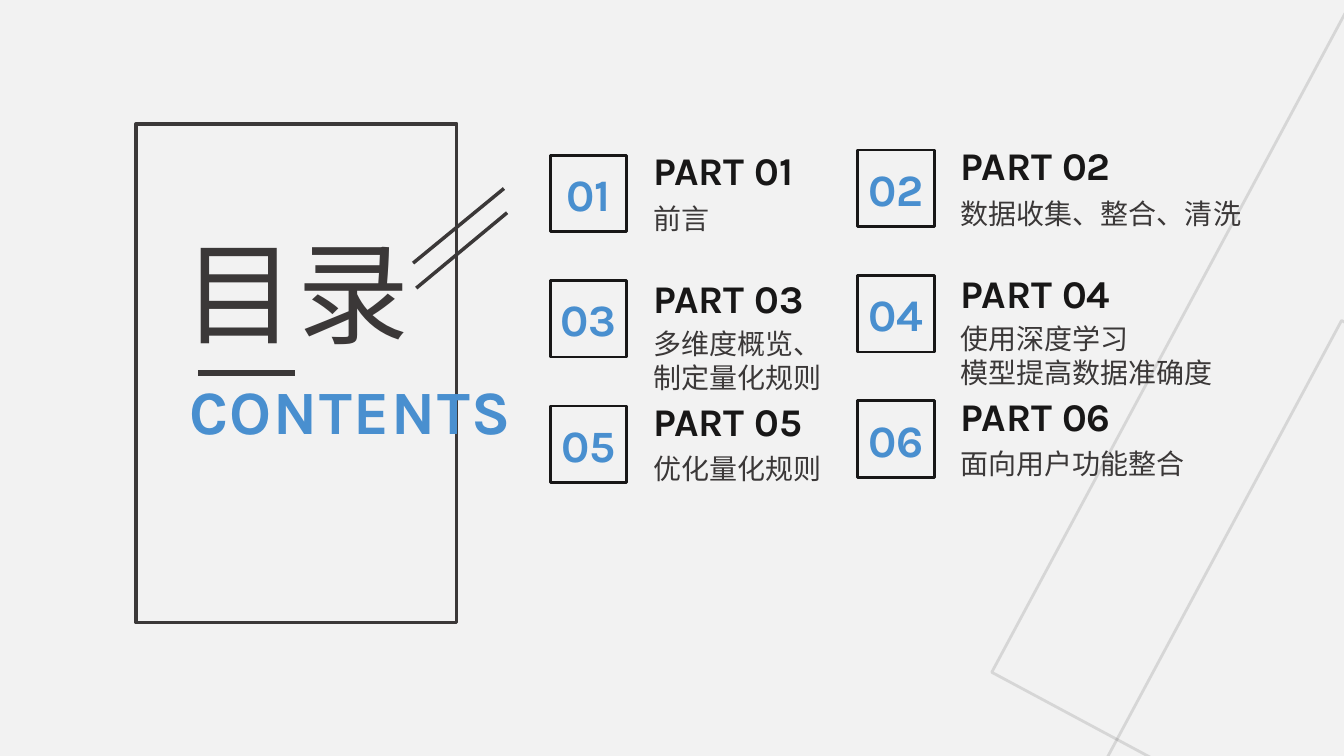
"""Build the contents slide: a framed heading beside six numbered parts."""
from pptx import Presentation
from pptx.util import Cm, Pt
from pptx.dml.color import RGBColor
from pptx.enum.shapes import MSO_CONNECTOR, MSO_SHAPE
from pptx.enum.text import MSO_ANCHOR, PP_ALIGN
from pptx.oxml.ns import qn
from lxml.etree import SubElement

PALE = RGBColor(0xF2, 0xF2, 0xF2)
GREY = RGBColor(0x3B, 0x38, 0x38)
BLACK = RGBColor(0x18, 0x17, 0x17)
BLUE = RGBColor(0x49, 0x8F, 0xCF)
LATIN, HAN = "Karla", "Noto Sans CJK SC"

PARTS = [
    ["前言"],
    ["数据收集、整合、清洗"],
    ["多维度概览、", "制定量化规则"],
    ["使用深度学习", "模型提高数据准确度"],
    ["优化量化规则"],
    ["面向用户功能整合"],
]
TILTED = [(28.37, 3.5), (28.17, 11.45)]
STROKES = [
    (5, 9.4, 7.44, 9.4, 4),
    (12.7, 4.75, 10.41, 6.63, 2.5),
    (12.78, 5.36, 10.49, 7.26, 2.5),
]
LEFT, COL_STEP, COL_RISE = 13.87, 7.75, 0.13
BOX_TOP, ROW_STEP, BOX = 3.91, 3.16, 1.93
HEAD_TOPS = [3.56, 6.78, 9.88]
NOTE_TOP, NOTE_STEP = 4.95, 3.14
TEXT_GAP, LINE = 2.34, 0.86


def frame(slide, x, y, wide, high, color, weight):
    shape = slide.shapes.add_shape(MSO_SHAPE.RECTANGLE, Cm(x), Cm(y), Cm(wide), Cm(high))
    shape.shadow.inherit = False
    shape.fill.background()
    shape.line.color.rgb = color
    shape.line.width = Pt(weight)
    return shape


def tilt(slide, x, y):
    shape = frame(slide, x, y, 19.08, 19.08, GREY, 2)
    shape.rotation = 298.2
    tint = shape.line.fill._xPr.find(".//" + qn("a:srgbClr"))
    SubElement(tint, qn("a:alpha"), val="15000")


def stroke(slide, x1, y1, x2, y2, weight):
    line = slide.shapes.add_connector(MSO_CONNECTOR.STRAIGHT, Cm(x1), Cm(y1), Cm(x2), Cm(y2))
    line.line.color.rgb = GREY
    line.line.width = Pt(weight)
    SubElement(line._element.spPr, qn("a:effectLst"))


def write(para, words, size, face, color, bold=False, gap=0):
    run = para.add_run()
    run.text = words
    font = run.font
    font.size, font.name, font.bold = Pt(size), face, bold
    font.color.rgb = color
    props = run._r.get_or_add_rPr()
    SubElement(props, qn("a:ea"), typeface=face)
    if gap:
        props.set("spc", str(gap))


def text(slide, x, y, wide, high, lines, size, face, color, bold=False, gap=0, pitch=None):
    body = slide.shapes.add_textbox(Cm(x), Cm(y), Cm(wide), Cm(high)).text_frame
    body.word_wrap = True
    for i, words in enumerate(lines):
        para = body.add_paragraph() if i else body.paragraphs[0]
        if pitch:
            para.line_spacing = Pt(pitch)
        write(para, words, size, face, color, bold, gap)


def part(slide, i, lines):
    row, col = divmod(i, 2)
    x, rise = LEFT + col * COL_STEP, col * COL_RISE
    box = frame(slide, x, BOX_TOP + row * ROW_STEP - rise, BOX, BOX, BLACK, 2)
    body = box.text_frame
    body.margin_left = body.margin_right = 0
    body.vertical_anchor = MSO_ANCHOR.MIDDLE
    para = body.paragraphs[0]
    para.alignment = PP_ALIGN.CENTER
    write(para, f"{i + 1:02}", 32, LATIN, BLUE, True)
    x += TEXT_GAP
    text(slide, x, HEAD_TOPS[row] - rise, 5.72, 1.45, [f"PART {i + 1:02}"], 28, LATIN, BLACK, True)
    high = 0.25 + LINE * len(lines)
    text(slide, x, NOTE_TOP + row * NOTE_STEP - rise, 8.66, high, lines, 20, HAN, GREY, pitch=24.4)


def main():
    deck = Presentation()
    deck.slide_width, deck.slide_height = Cm(33.87), Cm(19.05)
    slide = deck.slides.add_slide(deck.slide_layouts[6])
    slide.background.fill.solid()
    slide.background.fill.fore_color.rgb = PALE
    for spot in TILTED:
        tilt(slide, *spot)
    frame(slide, 3.43, 3.12, 8.08, 12.57, GREY, 2.5)
    text(slide, 4.52, 9.27, 11.99, 2.13, ["CONTENTS"], 44, LATIN, BLUE, True, 120)
    text(slide, 4.37, 7.06, 10.57, 2.39, ["目录"], 80, HAN, GREY, gap=130, pitch=52)
    for ends in STROKES:
        stroke(slide, *ends)
    for i, lines in enumerate(PARTS):
        part(slide, i, lines)
    deck.save("out.pptx")


if __name__ == "__main__":
    main()
